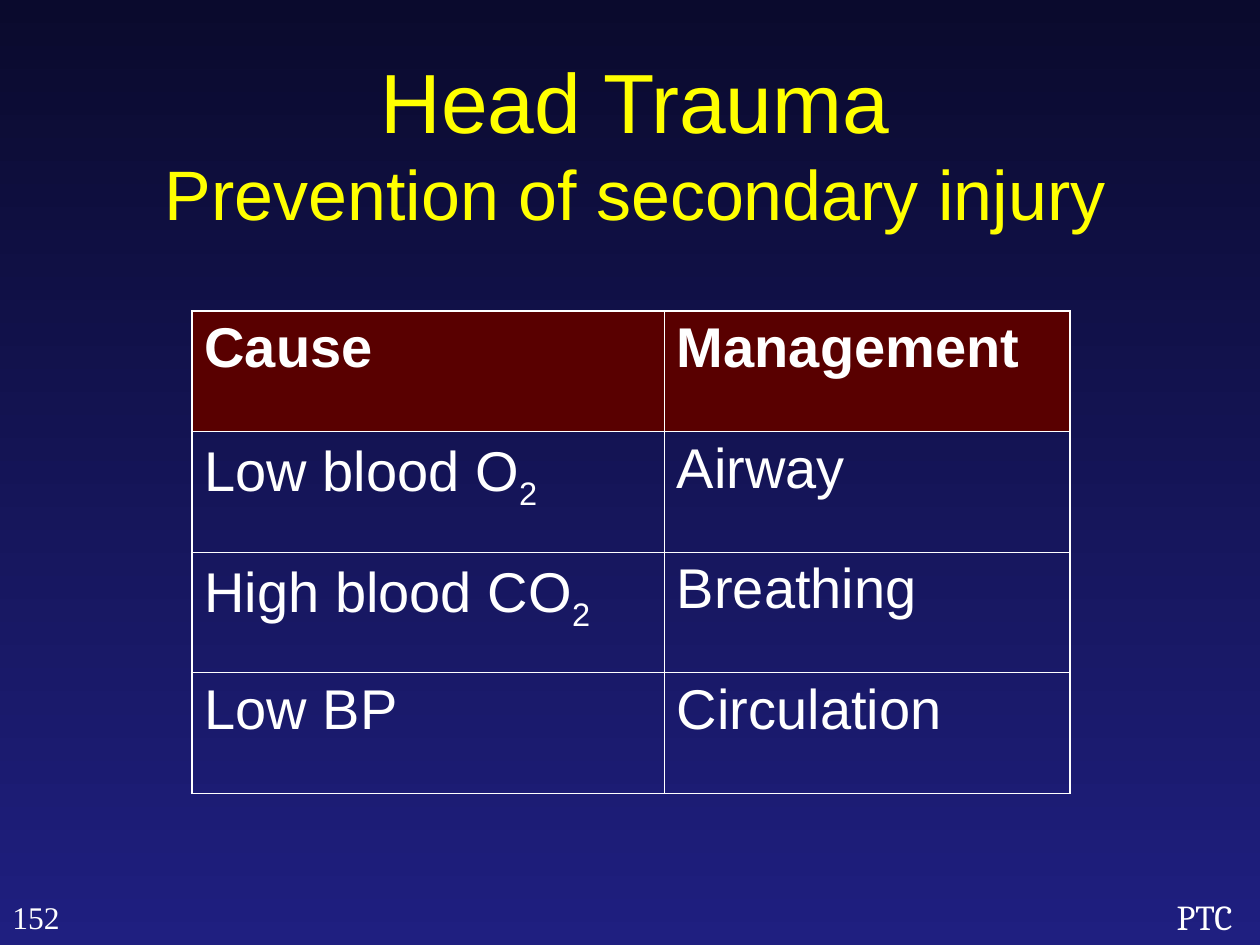
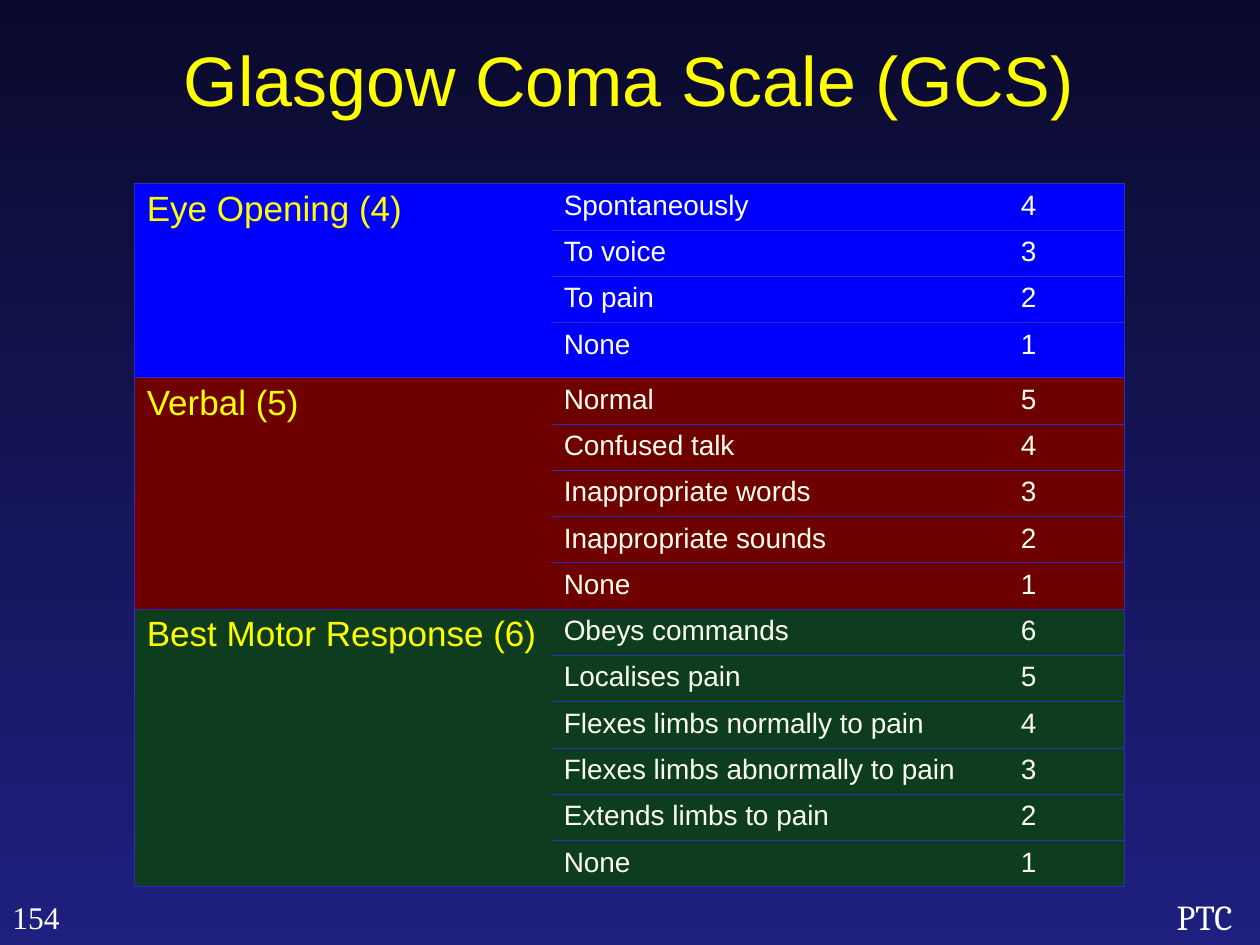
from lxml.etree import SubElement
from pptx import Presentation
from pptx.dml.color import RGBColor
from pptx.enum.text import MSO_ANCHOR, MSO_AUTO_SIZE, PP_ALIGN
from pptx.oxml.ns import qn
from pptx.util import Emu, Pt

EMU_PER_PX = 2286
WHITE, YELLOW, CREAM = "FFFFFF", "FFFF00", "FDFFEE"
BACKGROUND = ("0A0A2D", "1F1F80")
HEADER_RED, GRID_BLUE = "590000", "2D2DB9"
THICK, THIN = 1.08, 0.45

CAUSES = [
    ("Cause", "", "Management"),
    ("Low blood O", "2", "Airway"),
    ("High blood CO", "2", "Breathing"),
    ("Low BP", "", "Circulation"),
]

GCS = [
    ("Eye Opening (4)", "0000FF",
     ["Spontaneously", "To voice", "To pain", "None"]),
    ("Verbal (5)", "6E0000",
     ["Normal", "Confused talk", "Inappropriate words",
      "Inappropriate sounds", "None"]),
    ("Best Motor Response (6)", "0D3C1F",
     ["Obeys commands", "Localises pain", "Flexes limbs normally to pain",
      "Flexes limbs abnormally to pain", "Extends limbs to pain", "None"]),
]


def px(n):
    return Emu(n * EMU_PER_PX)


def rgb(value):
    return RGBColor.from_string(value)


class Deck:
    def __init__(self):
        self.prs = Presentation()
        self.prs.slide_width, self.prs.slide_height = px(4000), px(3000)
        self.s = None

    def slide(self, number):
        self.s = self.prs.slides.add_slide(self.prs.slide_layouts[6])
        fill = self.s.background.fill
        fill.gradient()
        fill.gradient_angle = 270
        for stop, color in zip(fill.gradient_stops, BACKGROUND):
            stop.color.rgb = rgb(color)
        self.label("PTC", (3696, 2824, 312, 176), 20, "Cambria")
        self.label(number, (0, 2832, 236, 160), 18, "Times New Roman")

    def run(self, p, text, size, color, font="Arial", bold=False):
        r = p.add_run()
        r.text = text
        r.font.size, r.font.name, r.font.bold = Pt(size), font, bold
        r.font.color.rgb = rgb(color)
        return r

    def label(self, text, box, size, font):
        tf = self.s.shapes.add_textbox(*map(px, box)).text_frame
        tf.word_wrap = False
        tf.auto_size = MSO_AUTO_SIZE.SHAPE_TO_FIT_TEXT
        self.run(tf.paragraphs[0], text, size, WHITE, font)

    def title(self, box, *lines):
        tf = self.s.shapes.add_textbox(*map(px, box)).text_frame
        tf.word_wrap = True
        tf.vertical_anchor = MSO_ANCHOR.MIDDLE
        p = tf.paragraphs[0]
        p.alignment = PP_ALIGN.CENTER
        for i, (text, size) in enumerate(lines):
            if i:
                p.add_line_break()
            self.run(p, text, size, YELLOW)

    def table(self, left, top, widths, heights):
        sp = self.s.shapes.add_table(
            len(heights), len(widths), px(left), px(top),
            px(sum(widths)), px(sum(heights)))
        table = sp.table
        table.first_row = table.horz_banding = False
        for column, width in zip(table.columns, widths):
            column.width = px(width)
        for row, height in zip(table.rows, heights):
            row.height = px(height)
        return table

    def cell(self, cell, fill, line, edges, inset_top):
        tc_pr = cell._tc.get_or_add_tcPr()
        for side in "LRTB":
            width = edges.get(side)
            ln = SubElement(tc_pr, qn(f"a:ln{side}"))
            if width:
                ln.set("w", str(Pt(width)))
                solid = SubElement(ln, qn("a:solidFill"))
                SubElement(solid, qn("a:srgbClr")).set("val", line)
            else:
                SubElement(ln, qn("a:noFill"))
        if fill:
            cell.fill.solid()
            cell.fill.fore_color.rgb = rgb(fill)
        else:
            cell.fill.background()
        cell.margin_left = cell.margin_right = px(40)
        cell.margin_top, cell.margin_bottom = px(inset_top), px(20)
        p = cell.text_frame.paragraphs[0]
        p.line_spacing = 0.94
        return p


def secondary_injury(deck):
    deck.slide("152")
    deck.title((190, 200, 3652, 500),
               ("Head Trauma", 48), ("Prevention of secondary injury", 40))
    last = len(CAUSES) - 1
    table = deck.table(609, 987, [1500, 1288], [383] * len(CAUSES))
    for i, (cause, subscript, management) in enumerate(CAUSES):
        header = i == 0
        for j, text in enumerate((cause, management)):
            edges = {
                "L": THIN if j else THICK,
                "R": THICK if j else THIN,
                "T": THICK if header else THIN,
                "B": THICK if i == last else THIN,
            }
            p = deck.cell(table.cell(i, j), HEADER_RED if header else None,
                          WHITE, edges, 30)
            deck.run(p, text, 32, WHITE, bold=header)
            if subscript and j == 0:
                r = deck.run(p, subscript, 32, WHITE)
                r.font._element.set("baseline", "-25000")


def coma_scale(deck):
    deck.slide("154")
    deck.title((296, 0, 3400, 500), ("Glasgow Coma Scale (GCS)", 40))
    heights = [147] * sum(len(signs) for _, _, signs in GCS)
    heights[3] = 175
    table = deck.table(426, 583, [1324, 1451, 370], heights)
    row = 0
    for heading, fill, signs in GCS:
        count = len(signs)
        for i, sign in enumerate(signs):
            heading_edges = "L" if i else "LTB"
            texts = ("" if i else heading, sign, str(count - i))
            for j, (text, sides) in enumerate(
                    zip(texts, (heading_edges, "TB", "TRB"))):
                p = deck.cell(table.cell(row + i, j), fill, GRID_BLUE,
                              dict.fromkeys(sides, THIN), 26 if j else 27)
                if text:
                    deck.run(p, text, 16 if j else 20, CREAM if j else YELLOW)
        table.cell(row, 0).merge(table.cell(row + count - 1, 0))
        row += count


def main():
    deck = Deck()
    secondary_injury(deck)
    coma_scale(deck)
    deck.prs.save("out.pptx")


if __name__ == "__main__":
    main()
